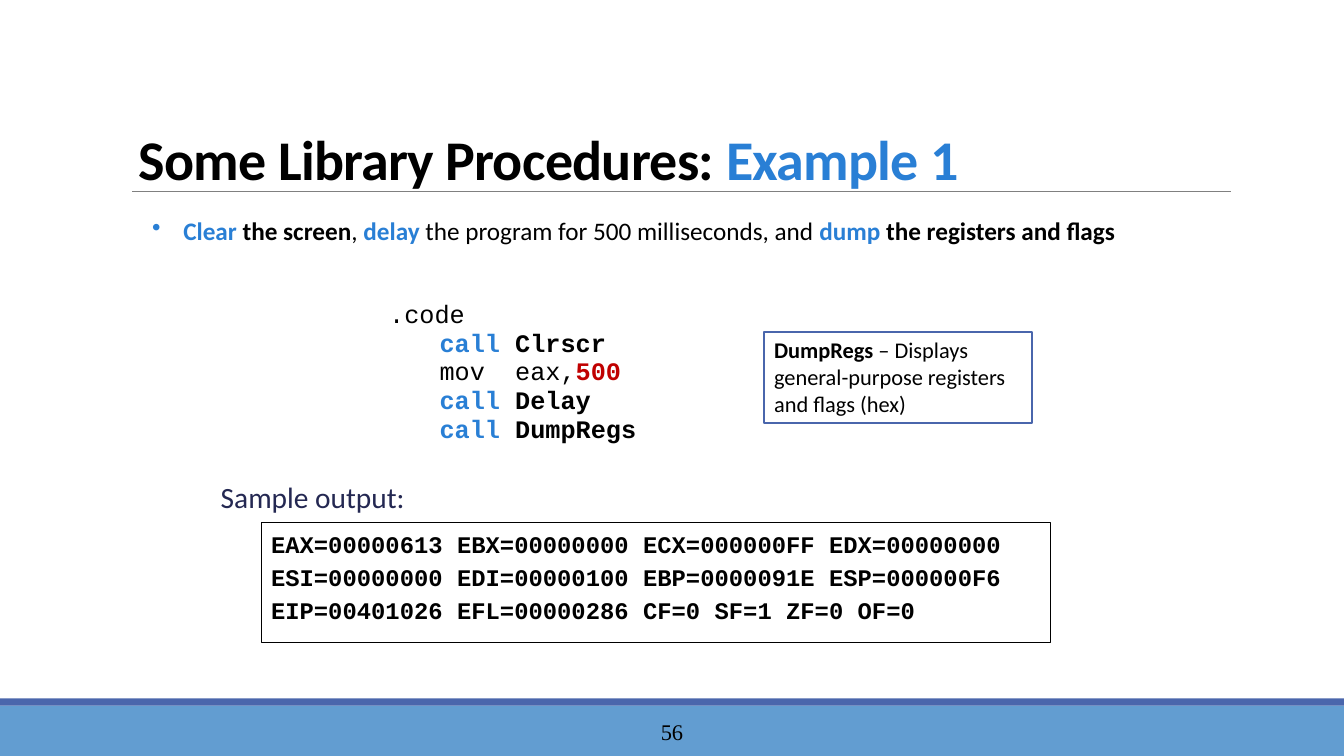
from lxml.etree import SubElement
from pptx import Presentation
from pptx.dml.color import RGBColor
from pptx.enum.shapes import MSO_CONNECTOR, MSO_SHAPE
from pptx.enum.text import MSO_ANCHOR, PP_ALIGN
from pptx.oxml.ns import qn
from pptx.util import Inches, Pt

BLACK, BLUE, NAVY, RED = "000000", "297FD5", "4A66AC", "C00000"
SANS, MONO = "Calibri", "Courier New"
DEEP = (0.1, 0.15)


def tint(code):
    return RGBColor.from_string(code)


def apply(target, values):
    for name, value in values.items():
        setattr(target, name, value)


class Deck:
    def __init__(self, wide, high):
        self.show = Presentation()
        apply(self.show, {"slide_width": Inches(wide), "slide_height": Inches(high)})
        self.slide = self.show.slides.add_slide(self.show.slide_layouts[6])
        self.shapes = self.slide.shapes

    def rect(self, spot, fill=None, line=None, width=1):
        shape = self.shapes.add_shape(MSO_SHAPE.RECTANGLE, *map(Inches, spot))
        shape.shadow.inherit = False
        if fill:
            shape.fill.solid()
            shape.fill.fore_color.rgb = tint(fill)
        else:
            shape.fill.background()
        if line:
            shape.line.color.rgb = tint(line)
            shape.line.width = Pt(width)
        else:
            shape.line.fill.background()
        return shape

    def rule(self, start, end, color, width):
        line = self.shapes.add_connector(
            MSO_CONNECTOR.STRAIGHT, *map(Inches, start + end))
        line.line.color.rgb = tint(color)
        line.line.width = Pt(width)
        SubElement(line._element.spPr, qn("a:effectLst"))

    def box(self, spot):
        return self.shapes.add_textbox(*map(Inches, spot))

    def text(self, shape, rows, size, font=SANS, inset=(0.1, 0.05),
             anchor=MSO_ANCHOR.TOP, align=PP_ALIGN.LEFT, lead=None,
             gap=0, track=None, tab=None, mark=None):
        side, edge = map(Inches, inset)
        frame = shape.text_frame
        apply(frame, {"word_wrap": True, "vertical_anchor": anchor,
                      "margin_left": side, "margin_right": side,
                      "margin_top": edge, "margin_bottom": edge})
        for index, row in enumerate(rows):
            para = frame.add_paragraph() if index else frame.paragraphs[0]
            props = para._p.get_or_add_pPr()
            if mark:
                props.set("marL", str(Inches(0.31)))
                props.set("indent", str(-Inches(0.31)))
                SubElement(props, qn("a:buChar"), char=mark)
            if tab:
                tabs = SubElement(props, qn("a:tabLst"))
                SubElement(tabs, qn("a:tab"), pos=str(Inches(tab)), algn="l")
            apply(para, {"alignment": align, "line_spacing": lead,
                         "space_before": Pt(gap if index else 0)})
            for words, color, bold in row:
                run = para.add_run()
                run.text = words
                apply(run.font, {"name": font, "size": Pt(size), "bold": bold})
                run.font.color.rgb = tint(color)
                if track:
                    run._r.get_or_add_rPr().set("spc", str(track))

    def save(self):
        self.show.save("out.pptx")


def call(name):
    return [("\t", BLACK, False), ("call ", BLUE, True), (name, BLACK, True)]


def main():
    deck = Deck(13.33, 7.5)
    deck.rect((0, 7, 13.33, 0.5), "629DD1")
    deck.rect((0, 6.93, 13.33, 0.07), NAVY)
    deck.rule((1.31, 1.9), (12.21, 1.9), "808080", 0.5)
    deck.text(deck.box((4.03, 7.06, 5.27, 0.4)), [[("56", BLACK, False)]], 16,
              "Times New Roman", anchor=MSO_ANCHOR.MIDDLE, align=PP_ALIGN.CENTER)

    title = [("Some Library Procedures: ", BLACK, True), ("Example 1", BLUE, True)]
    deck.text(deck.box((1.28, 0.36, 11, 1.59)), [title], 40,
              anchor=MSO_ANCHOR.BOTTOM, lead=0.85, track=-50)

    code = [[(".code", BLACK, False)],
            call("Clrscr"),
            [("\tmov  eax,", BLACK, False), ("500", RED, True)],
            call("Delay"),
            call("DumpRegs")]
    deck.text(deck.box((3.71, 2.89, 5.75, 1.92)), code, 18, MONO,
              (0.15, 0.2), lead=0.5, gap=9.7, tab=0.5)

    task = [("Clear", BLUE, True), (" the screen", BLACK, True),
            (", ", BLACK, False), ("delay ", BLUE, True),
            ("the program for 500 milliseconds, and ", BLACK, False),
            ("dump ", BLUE, True), ("the registers and flags", BLACK, True)]
    deck.text(deck.box((1.41, 1.99, 9.99, 0.61)), [task], 18, inset=DEEP, mark="•")

    dump = ["EAX=00000613 EBX=00000000 ECX=000000FF EDX=00000000",
            "ESI=00000000 EDI=00000100 EBP=0000091E ESP=000000F6",
            "EIP=00401026 EFL=00000286 CF=0 SF=1 ZF=0 OF=0"]
    deck.text(deck.rect((2.59, 5.18, 7.83, 1.19), line=BLACK, width=0.75),
              [[(words, BLACK, True)] for words in dump], 17, MONO, DEEP,
              lead=0.7, gap=9.4)
    deck.text(deck.box((2.09, 4.6, 3.08, 0.66)),
              [[("Sample output:", "242852", False)]], 21, inset=DEEP)

    note = [("DumpRegs", BLACK, True),
            (" – Displays general-purpose registers and flags (hex)", BLACK, False)]
    deck.text(deck.rect((7.58, 3.29, 2.66, 0.91), "FFFFFF", NAVY, 1.25), [note], 16)
    deck.save()


if __name__ == "__main__":
    main()
